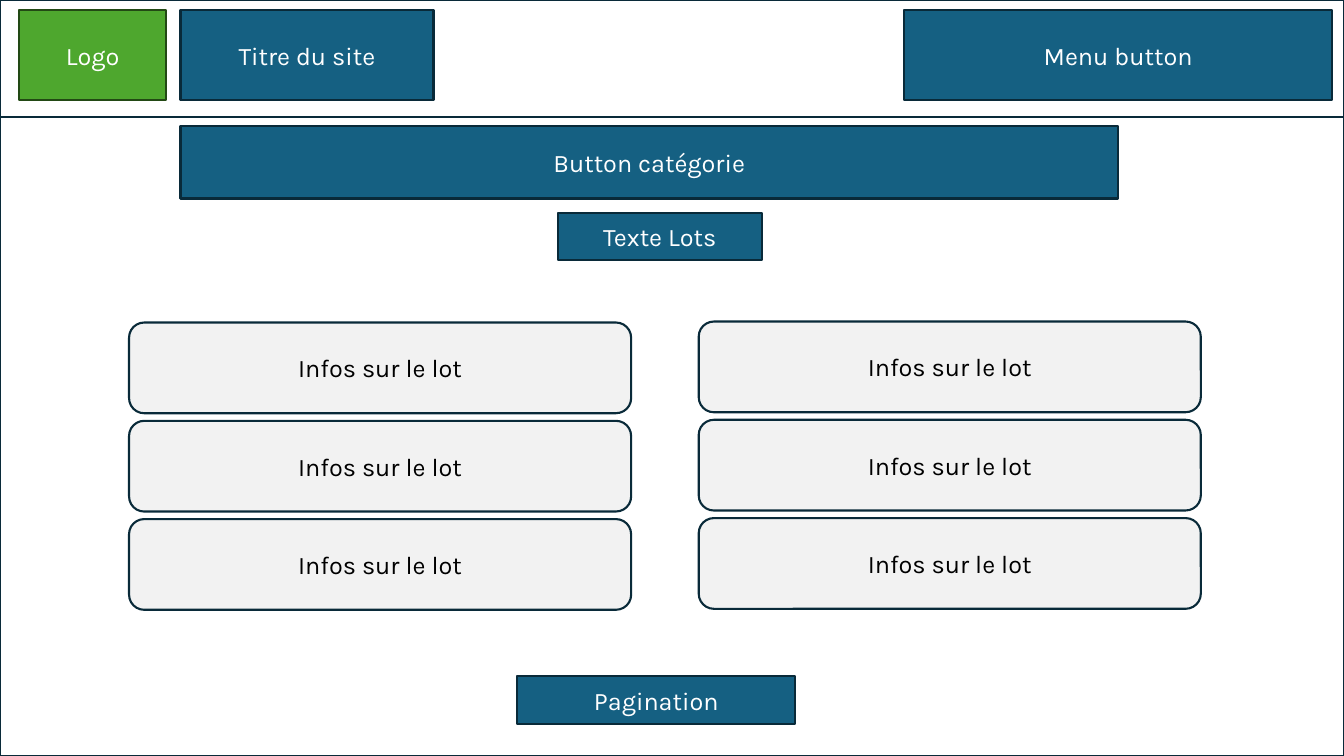
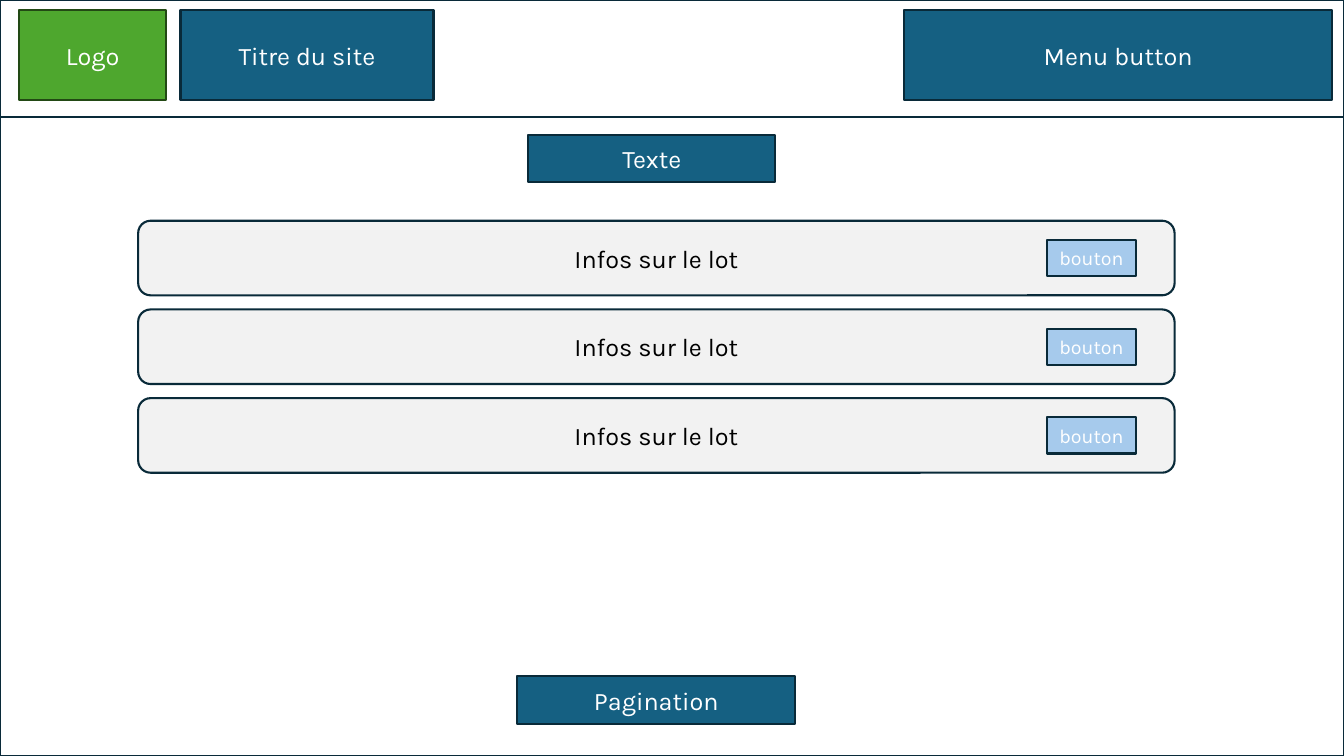
from pptx import Presentation
from pptx.dml.color import RGBColor
from pptx.enum.shapes import MSO_SHAPE
from pptx.enum.text import MSO_ANCHOR, MSO_AUTO_SIZE, PP_ALIGN
from pptx.util import Inches, Pt

FONT = "Karla"
WIDTH, HEIGHT = 13.33, 7.5
COLORS = {
    "navy": "092A39",
    "blue": "156082",
    "green": "4EA72E",
    "dark green": "224914",
    "light blue": "A6CAEC",
    "grey": "F2F2F2",
    "white": "FFFFFF",
    "black": "000000",
}
STYLES = {
    "frame": (MSO_SHAPE.RECTANGLE, None, "navy", "white", 18),
    "logo": (MSO_SHAPE.RECTANGLE, "green", "dark green", "white", 18),
    "block": (MSO_SHAPE.RECTANGLE, "blue", "navy", "white", 18),
    "card": (MSO_SHAPE.ROUNDED_RECTANGLE, "grey", "navy", "black", 18),
    "button": (MSO_SHAPE.RECTANGLE, "light blue", "navy", "white", 14),
}
SHARED_PARTS = [
    ("frame", "", (0, 0, WIDTH, 1.16)),
    ("frame", "", (0, 0, WIDTH, HEIGHT)),
    ("logo", "Logo", (0.19, 0.1, 1.46, 0.89)),
    ("block", "Titre du site", (1.79, 0.1, 2.51, 0.89)),
    ("block", "Menu button", (8.97, 0.1, 4.24, 0.89)),
    ("block", "Pagination", (5.13, 6.71, 2.76, 0.47)),
]
CARD_TEXT = "Infos sur le lot"
PAGES = [
    {
        "title": ("Texte Lots", (5.53, 2.11, 2.03, 0.47)),
        "parts": [("block", "Button catégorie", (1.79, 1.25, 9.3, 0.72))],
        "columns": [(1.28, 3.2), (6.93, 3.19)],
        "card size": (4.98, 0.9),
        "row step": 0.975,
        "button": None,
    },
    {
        "title": ("Texte", (5.24, 1.34, 2.45, 0.47)),
        "parts": [],
        "columns": [(1.37, 2.19)],
        "card size": (10.28, 0.74),
        "row step": 0.88,
        "button": ("bouton", (9.01, 0.19, 0.89, 0.36)),
    },
]
ROWS = 3


def color(name):
    return RGBColor.from_string(COLORS[name])


def format_shape(shape, style, text):
    _, fill, line, text_color, size = STYLES[style]
    if fill:
        shape.fill.solid()
        shape.fill.fore_color.rgb = color(fill)
    else:
        shape.fill.background()
    shape.line.color.rgb = color(line)
    shape.line.width = Pt(1.5)
    if not text:
        return
    frame = shape.text_frame
    frame.text = text
    frame.word_wrap = True
    frame.auto_size = MSO_AUTO_SIZE.NONE
    frame.vertical_anchor = MSO_ANCHOR.MIDDLE
    paragraph = frame.paragraphs[0]
    paragraph.alignment = PP_ALIGN.CENTER
    font = paragraph.runs[0].font
    font.name = FONT
    font.size = Pt(size)
    font.color.rgb = color(text_color)


def add_part(slide, style, text, box):
    shape = slide.shapes.add_shape(STYLES[style][0], *map(Inches, box))
    shape.shadow.inherit = False
    format_shape(shape, style, text)


def place_title(slide, text, box):
    title = slide.shapes.title
    title.left, title.top, title.width, title.height = map(Inches, box)
    format_shape(title, "block", text)


def add_cards(slide, page):
    for left, first_top in page["columns"]:
        for row in range(ROWS):
            top = first_top + row * page["row step"]
            add_part(slide, "card", CARD_TEXT, (left, top, *page["card size"]))
            if page["button"]:
                text, (x, y, width, height) = page["button"]
                add_part(slide, "button", text, (left + x, top + y, width, height))


def main():
    presentation = Presentation()
    presentation.slide_width = Inches(WIDTH)
    presentation.slide_height = Inches(HEIGHT)
    title_only = presentation.slide_layouts[5]
    for page in PAGES:
        slide = presentation.slides.add_slide(title_only)
        place_title(slide, *page["title"])
        for part in SHARED_PARTS + page["parts"]:
            add_part(slide, *part)
        add_cards(slide, page)
    presentation.save("out.pptx")


if __name__ == "__main__":
    main()
